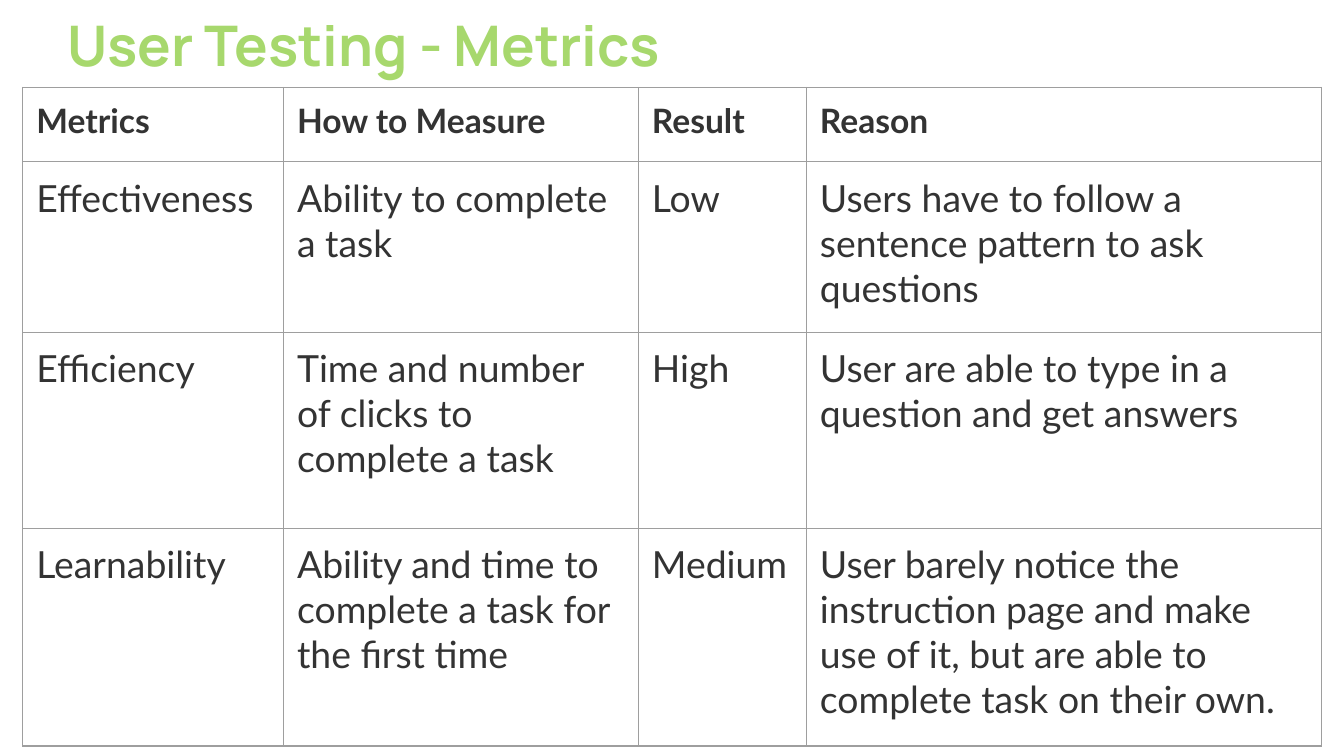
import pptx
import pptx.dml.color
import pptx.enum.text
import pptx.oxml
import pptx.util
from pptx.oxml.ns import nsdecls

Pt = pptx.util.Pt

COLORS = {"title": "A7D86D", "text": "333333", "border": "9E9E9E"}
COLUMN_WIDTHS = [139.7, 190.1, 90, 275.8]
ROW_HEIGHTS = [39.8, 91.4, 105.1, 116.6]
ROWS = [
    ["Metrics", "How to Measure", "Result", "Reason"],
    ["Effectiveness", "Ability to complete a task", "Low",
     "Users have to follow a sentence pattern to ask questions"],
    ["Efficiency", "Time and number of clicks to complete a task", "High",
     "User are able to type in a question and get answers"],
    ["Learnability", "Ability and time to complete a task for the first time", "Medium",
     "User barely notice the instruction page and make use of it, "
     "but are able to complete task on their own."],
]


class SlideBuilder:
    title_font = "Manrope"
    body_font = "Lato"
    cell_margin = 7.2
    border_width = 0.75

    def __init__(self, s):
        self.s = s

    def run(self, p, text, font, size, color, bold):
        r = p.add_run()
        r.text = text
        r.font.name = font
        r.font.size = Pt(size)
        r.font.bold = bold
        r.font.color.rgb = pptx.dml.color.RGBColor.from_string(COLORS[color])

    def title(self, text, left, top, width, height):
        sp = self.s.shapes.add_textbox(Pt(left), Pt(top), Pt(width), Pt(height))
        tf = sp.text_frame
        tf.word_wrap = True
        tf.margin_left = tf.margin_top = tf.margin_right = tf.margin_bottom = 0
        tf.vertical_anchor = pptx.enum.text.MSO_ANCHOR.BOTTOM
        self.run(tf.paragraphs[0], text, self.title_font, 30, "title", True)

    def borders(self, cell):
        properties = cell._tc.get_or_add_tcPr()
        for index, side in enumerate(("lnL", "lnR", "lnT", "lnB")):
            line = pptx.oxml.parse_xml(
                f'<a:{side} {nsdecls("a")} w="{Pt(self.border_width)}"><a:solidFill>'
                f'<a:srgbClr val="{COLORS["border"]}"/></a:solidFill></a:{side}>'
            )
            properties.insert(index, line)

    def cell(self, cell, text, header):
        margin = Pt(self.cell_margin)
        cell.margin_left = cell.margin_top = cell.margin_right = cell.margin_bottom = margin
        cell.fill.background()
        self.borders(cell)
        p = cell.text_frame.paragraphs[0]
        self.run(p, text, self.body_font, 18 if header else 20, "text", header)

    def table(self, rows, left, top, widths, heights):
        sp = self.s.shapes.add_table(
            len(rows), len(widths), Pt(left), Pt(top), Pt(sum(widths)), Pt(sum(heights))
        )
        table = sp.table
        table.horz_banding = False
        for column, width in zip(table.columns, widths):
            column.width = Pt(width)
        for i, (row, height) in enumerate(zip(table.rows, heights)):
            row.height = Pt(height)
            for cell, text in zip(row.cells, rows[i]):
                self.cell(cell, text, header=i == 0)


def main():
    prs = pptx.Presentation()
    prs.slide_width = Pt(720)
    prs.slide_height = Pt(405)
    builder = SlideBuilder(prs.slides.add_slide(prs.slide_layouts[6]))
    builder.title("User Testing - Metrics", 36, 9.4, 496, 32.4)
    builder.table(ROWS, 12.24, 46.8, COLUMN_WIDTHS, ROW_HEIGHTS)
    prs.save("out.pptx")


if __name__ == "__main__":
    main()
